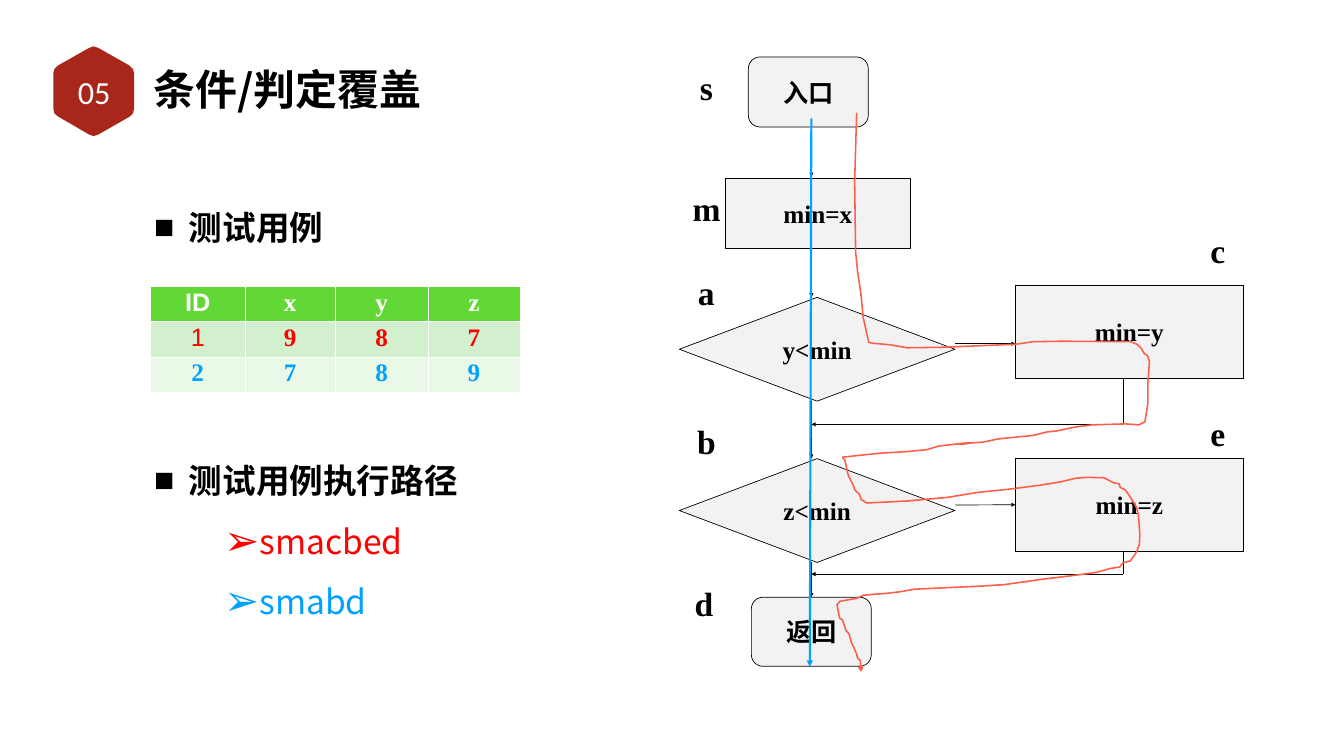
from dataclasses import dataclass

from lxml.etree import SubElement
from pptx import Presentation
from pptx.dml.color import RGBColor as Rgb
from pptx.enum.shapes import MSO_CONNECTOR as Link, MSO_SHAPE as Shape
from pptx.enum.text import MSO_ANCHOR as Anchor, MSO_AUTO_SIZE as Fit, PP_ALIGN as Align
from pptx.oxml.ns import qn
from pptx.util import Inches, Pt


@dataclass(frozen=True)
class Theme:
    ink: str = "000000"
    white: str = "FFFFFF"
    badge: str = "A8271A"
    node: str = "F2F2F2"
    red: str = "FF0000"
    blue: str = "00A2FF"
    trace: str = "FE5F48"
    rows: tuple = ("61D836", "D2F0CE", "EAF8E8")
    cjk: str = "Noto Sans CJK SC"
    serif: str = "Times New Roman"
    sans: str = "Arial"
    number: str = "Calibri"
    title: int = 60
    heading: int = 48
    badge_size: int = 46
    body: int = 36


def apply(target, values):
    for name, value in values.items():
        setattr(target, name, value)


class Board:
    def __init__(self, page, theme):
        self.page, self.theme = page, theme

    def add_words(self, para, text, size, font, color, bold=True, align=Align.CENTER):
        para.alignment = align
        span = para.add_run()
        span.text = text
        apply(span.font, {"size": Pt(size), "name": font, "bold": bold})
        span.font.color.rgb = Rgb.from_string(color)
        SubElement(span.font._element, qn("a:ea"), typeface=self.theme.cjk)

    def frame(self, box, inset=None, wrap=False, anchor=Anchor.TOP):
        apply(box.text_frame, {"auto_size": Fit.NONE, "word_wrap": wrap, "vertical_anchor": anchor})
        if inset is not None:
            sides = ("margin_left", "margin_top", "margin_right", "margin_bottom")
            apply(box.text_frame, dict.fromkeys(sides, Inches(inset)))
        return box.text_frame

    def stroke(self, line, color, width, arrow=None):
        line.color.rgb = Rgb.from_string(color)
        line.width = Pt(width)
        if arrow:
            SubElement(line._get_or_add_ln(), qn("a:tailEnd"), type=arrow)

    def title(self, text, *area):
        box = self.page.shapes.title
        apply(box, dict(zip(("left", "top", "width", "height"), map(Inches, area))))
        para = self.frame(box, 0.06, True, Anchor.MIDDLE).paragraphs[0]
        self.add_words(para, text, self.theme.title, self.theme.cjk, self.theme.ink, align=Align.LEFT)

    def node(self, kind, text, *area):
        box = self.page.shapes.add_shape(kind, *map(Inches, area))
        box.shadow.inherit = False
        box.fill.solid()
        box.fill.fore_color.rgb = Rgb.from_string(self.theme.node)
        self.stroke(box.line, self.theme.ink, 1)
        para = self.frame(box, anchor=Anchor.MIDDLE).paragraphs[0]
        self.add_words(para, text, self.theme.body, self.theme.serif, self.theme.ink)
        return box

    def label(self, text, *area):
        box = self.page.shapes.add_textbox(*map(Inches, area))
        para = self.frame(box).paragraphs[0]
        self.add_words(para, text, self.theme.heading, self.theme.serif, self.theme.ink)

    def badge(self, text, *area):
        box = self.page.shapes.add_textbox(*map(Inches, area))
        para = self.frame(box, 0.05, True, Anchor.MIDDLE).paragraphs[0]
        self.add_words(para, text, self.theme.badge_size, self.theme.number, self.theme.white, False)

    def line(self, start, end, color=None, width=1, arrow="triangle", target=None, side=0):
        link = self.page.shapes.add_connector(Link.STRAIGHT, *map(Inches, start + end))
        self.stroke(link.line, color or self.theme.ink, width, arrow)
        SubElement(link._element.spPr, qn("a:effectLst"))
        if target is not None:
            link.end_connect(target, side)

    def outline(self, points, fill=None, color=None, arrow=None):
        spots = [(Inches(x), Inches(y)) for x, y in points]
        builder = self.page.shapes.build_freeform(*spots[0])
        builder.add_line_segments(spots[1:], close=fill is not None)
        form = builder.convert_to_shape()
        form.shadow.inherit = False
        if fill:
            form.fill.solid()
            form.fill.fore_color.rgb = Rgb.from_string(fill)
            form.line.fill.background()
        else:
            form.fill.background()
            self.stroke(form.line, color, 2.25, arrow)

    def bullets(self, area, heading, items=()):
        text = self.frame(self.page.shapes.add_textbox(*map(Inches, area)), 0.06, True)
        entries = [(heading, self.theme.ink, 0)] + [(item, color, 1) for item, color in items]
        for index, (words, color, level) in enumerate(entries):
            para = text.add_paragraph() if index else text.paragraphs[0]
            apply(para, {"level": level, "line_spacing": 1.5 if level else 2.0})
            props = para._p.get_or_add_pPr()
            props.set("marL", str(Inches(2.08 if level else 0.69)))
            props.set("indent", str(Inches(-0.69)))
            if level:
                SubElement(props, qn("a:buSzPct"), val="125000")
            SubElement(props, qn("a:buFont"), typeface=self.theme.sans)
            SubElement(props, qn("a:buChar"), char="➢" if level else "■")
            self.add_words(para, words, self.theme.heading, self.theme.cjk, color, not level, Align.LEFT)

    def table(self, left, top, widths, row_height, rows, colors):
        area = (left, top, sum(widths), row_height * len(rows))
        grid = self.page.shapes.add_table(len(rows), len(widths), *map(Inches, area)).table
        for column, width in zip(grid.columns, widths):
            column.width = Inches(width)
        for r, (values, color) in enumerate(zip(rows, colors)):
            grid.rows[r].height = Inches(row_height)
            for c, value in enumerate(values):
                cell = grid.cell(r, c)
                for edge in ("lnL", "lnR", "lnT", "lnB"):
                    heavy = (r, edge) in ((0, "lnB"), (1, "lnT"))
                    props = cell._tc.get_or_add_tcPr()
                    border = SubElement(props, qn("a:" + edge), w=str(Pt(3 if heavy else 1)))
                    paint = SubElement(border, qn("a:solidFill"))
                    SubElement(paint, qn("a:srgbClr"), val=self.theme.white)
                cell.fill.solid()
                cell.fill.fore_color.rgb = Rgb.from_string(self.theme.rows[r])
                font = self.theme.sans if value in ("ID", "1") else self.theme.serif
                para = cell.text_frame.paragraphs[0]
                self.add_words(para, value, self.theme.body, font, color, value != "1")


HEXAGON = [
    (1.15, 2.31), (1.08, 2.25), (1.06, 2.16), (1.06, 1.45), (1.08, 1.37), (1.15, 1.3),
    (1.77, 0.95), (1.86, 0.92), (1.95, 0.95), (2.57, 1.3), (2.64, 1.37), (2.66, 1.45),
    (2.66, 2.16), (2.64, 2.25), (2.58, 2.31), (1.95, 2.67), (1.86, 2.7), (1.77, 2.67),
]
RED_TRACE = [
    (17, 2.24), (16.96, 3.6), (16.98, 5), (17.02, 5.4), (17.08, 5.8), (17.1, 5.98), (17.13, 6.3),
    (17.19, 6.57), (17.24, 6.79), (17.31, 6.81), (17.66, 6.84), (18, 6.9), (18.7, 6.89),
    (20.16, 6.83), (20.5, 6.78), (21.07, 6.77), (22.44, 6.78), (22.56, 6.83), (22.64, 6.9),
    (22.71, 7.02), (22.77, 7.05), (22.81, 7.17), (22.78, 7.6), (22.78, 8), (22.72, 8.37),
    (22.6, 8.43), (22.33, 8.41), (21.67, 8.43), (21.35, 8.47), (20.97, 8.55), (20.78, 8.57),
    (20.5, 8.64), (19.99, 8.69), (19.8, 8.71), (19.52, 8.77), (19.27, 8.79), (19.05, 8.82),
    (19.25, 8.78), (18.63, 8.85), (18.4, 8.92), (18, 8.96), (17.48, 8.99), (16.72, 9.07),
    (16.77, 9.14), (16.83, 9.42), (16.92, 9.6), (16.97, 9.73), (17.05, 9.8), (17.09, 9.91),
    (17.2, 9.98), (18, 9.94), (18.79, 9.87), (19.4, 9.77), (19.99, 9.71), (20.62, 9.63),
    (21.05, 9.56), (21.34, 9.49), (21.57, 9.47), (21.91, 9.48), (22.1, 9.58), (22.21, 9.6),
    (22.23, 9.67), (22.33, 9.72), (22.41, 9.83), (22.55, 10.06), (22.59, 10.21), (22.62, 10.6),
    (22.61, 10.8), (22.56, 10.94), (22.49, 11.05), (22.43, 11.13), (22.28, 11.17), (22.22, 11.25),
    (22.03, 11.28), (21.74, 11.36), (21.36, 11.41), (20.63, 11.5), (19.93, 11.6), (19.45, 11.63),
    (18.15, 11.69), (17.87, 11.74), (17.62, 11.77), (17.13, 11.81), (17.01, 11.87), (16.67, 11.93),
    (16.61, 12), (16.66, 12.26), (16.72, 12.3), (16.79, 12.51), (16.85, 12.58), (16.9, 12.76),
    (16.95, 12.86), (17, 12.98), (17.02, 13.06), (17.07, 13.1), (17.09, 13.33),
]


def main():
    deck = Presentation()
    deck.slide_width, deck.slide_height = Inches(26.67), Inches(15)
    theme = Theme()
    board = Board(deck.slides.add_slide(deck.slide_layouts[5]), theme)

    board.outline(HEXAGON, fill=theme.badge)
    board.badge("05", 1, 1.29, 1.74, 1.05)
    board.title("条件/判定覆盖", 2.99, 1.18, 6.02, 1.14)
    board.bullets((3, 3.24, 8.12, 2.61), "测试用例")
    board.table(2.99, 5.68, (1.87, 1.8, 1.83, 1.83), 0.7,
                ("ID x y z".split(), "1 9 8 7".split(), "2 7 8 9".split()),
                (theme.white, theme.red, theme.blue))
    board.bullets((3, 8.27, 8.12, 5.76), "测试用例执行路径",
                  (("smacbed", theme.red), ("smabd", theme.blue)))

    board.node(Shape.FLOWCHART_ALTERNATE_PROCESS, "入口", 14.85, 1.13, 2.38, 1.39)
    finish = board.node(Shape.FLOWCHART_ALTERNATE_PROCESS, "返回", 14.91, 11.85, 2.38, 1.37)
    board.node(Shape.FLOWCHART_DECISION, "y<min", 13.48, 5.9, 5.47, 2.06)
    board.node(Shape.FLOWCHART_DECISION, "z<min", 13.48, 9.1, 5.47, 2.06)
    board.node(Shape.FLOWCHART_PROCESS, "min=y", 20.15, 5.67, 4.52, 1.83)
    assign_z = board.node(Shape.FLOWCHART_PROCESS, "min=z", 20.15, 9.1, 4.52, 1.83)

    trunk, branch = 16.1, 22.29
    for start, end in ((2.6, 3.51), (4.99, 5.9), (7.96, 9.1)):
        board.line((trunk, start), (trunk, end))
    board.line((trunk, 11.16), (trunk, 11.85), target=finish, side=0)
    for bottom, merge in ((7.5, 8.42), (10.93, 11.39)):
        board.line((branch, bottom), (branch, merge), arrow=None)
        board.line((branch, merge), (trunk, merge))
    board.line((18.96, 6.82), (20.15, 6.82))
    board.line((18.96, 10.02), (20.15, 10.02), target=assign_z, side=1)

    for text, *area in (
        ("s", 13.69, 1.28, 0.66, 1.25), ("m", 13.64, 3.67, 0.76, 0.91),
        ("a", 13.63, 5.34, 0.77, 1.25), ("b", 13.61, 8.31, 0.82, 1.25),
        ("d", 13.56, 11.51, 0.82, 1.25), ("c", 23.81, 4.51, 0.71, 1.25),
        ("e", 23.81, 8.15, 0.71, 1.25),
    ):
        board.label(text, *area)

    board.node(Shape.FLOWCHART_PROCESS, "min=x", 14.4, 3.53, 3.66, 1.39)
    board.line((trunk, 2.35), (16.07, 13.23), theme.blue, 3)
    board.outline(RED_TRACE, color=theme.trace, arrow="arrow")
    deck.save("out.pptx")


if __name__ == "__main__":
    main()
